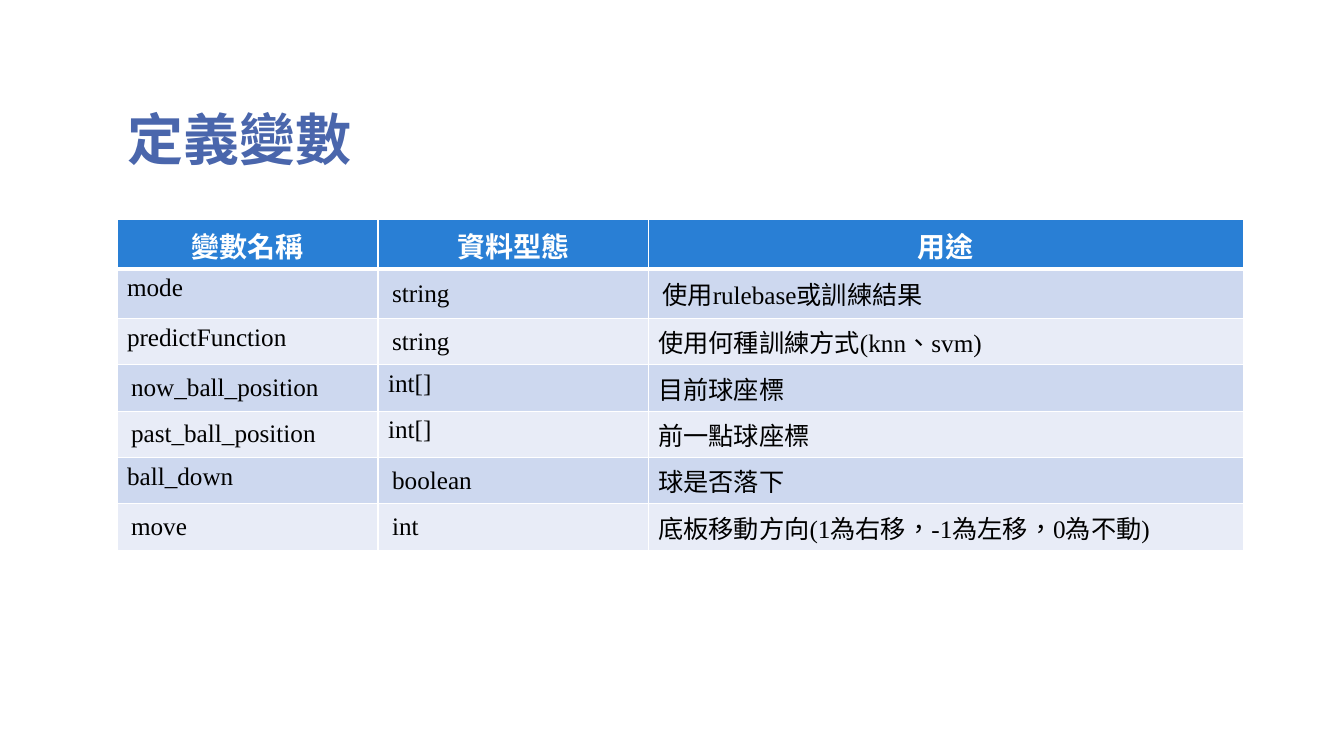
from lxml import etree
from pptx import Presentation
from pptx import util as u
from pptx.dml.color import RGBColor
from pptx.enum import lang, text
from pptx.oxml import ns

FONT = "Times New Roman"
TITLE_BLUE = RGBColor(0x4A, 0x66, 0xAC)
HEADER_BLUE = RGBColor(0x29, 0x7F, 0xD5)
BAND_DARK = RGBColor(0xCD, 0xD8, 0xEF)
BAND_LIGHT = RGBColor(0xE8, 0xEC, 0xF7)
WHITE = RGBColor(0xFF, 0xFF, 0xFF)
BLACK = RGBColor(0x00, 0x00, 0x00)

COLUMN_WIDTHS = [2.59, 2.68, 5.9]
ROW_HEIGHTS = [0.49] * 2 + [0.46] * 5
ROWS = [
    ["變數名稱", "資料型態", "用途"],
    ["mode", "string", "使用rulebase或訓練結果"],
    ["predictFunction", "string", "使用何種訓練方式(knn、svm)"],
    ["now_ball_position", "int[]", "目前球座標"],
    ["past_ball_position", "int[]", "前一點球座標"],
    ["ball_down", "boolean", "球是否落下"],
    ["move", "int", "底板移動方向(1為右移，-1為左移，0為不動)"],
]
MIDDLE_CELLS = {(1, 1), (1, 2), (2, 1), (3, 0), (4, 0), (5, 1), (6, 0), (6, 1)}


def style_text(paragraph, size, color, bold):
    for run in paragraph.runs:
        run.font.name = FONT
        run.font.size = u.Pt(size)
        run.font.bold = bold
        run.font.color.rgb = color
        run.font.language_id = lang.MSO_LANGUAGE_ID.TRADITIONAL_CHINESE


def add_borders(cell, widths):
    properties = cell._tc.get_or_add_tcPr()
    for index, (side, width) in enumerate(widths.items()):
        line = etree.Element(ns.qn(f"a:ln{side}"), w=str(u.Pt(width)))
        fill = etree.SubElement(line, ns.qn("a:solidFill"))
        etree.SubElement(fill, ns.qn("a:srgbClr"), val=str(WHITE))
        properties.insert(index, line)


presentation = Presentation()
presentation.slide_width = u.Inches(13.33)
presentation.slide_height = u.Inches(7.5)
slide = presentation.slides.add_slide(presentation.slide_layouts[6])

title = slide.shapes.add_textbox(u.Inches(1.17), u.Inches(0.58), u.Inches(9.5), u.Inches(1.17))
title.text_frame.word_wrap = True
title.text_frame.vertical_anchor = text.MSO_ANCHOR.BOTTOM
title.text_frame.text = "定義變數"
title_paragraph = title.text_frame.paragraphs[0]
title_paragraph.line_spacing = 0.8
style_text(title_paragraph, 40, TITLE_BLUE, True)

table = slide.shapes.add_table(
    len(ROWS), len(COLUMN_WIDTHS),
    u.Inches(1.16), u.Inches(2.18), u.Inches(sum(COLUMN_WIDTHS)), u.Inches(sum(ROW_HEIGHTS)),
).table
for column, width in zip(table.columns, COLUMN_WIDTHS):
    column.width = u.Inches(width)
for row, height in zip(table.rows, ROW_HEIGHTS):
    row.height = u.Inches(height)

for row_index, values in enumerate(ROWS):
    is_header = row_index == 0
    band = BAND_DARK if row_index % 2 else BAND_LIGHT
    for column_index, value in enumerate(values):
        cell = table.cell(row_index, column_index)
        cell.text_frame.text = value
        paragraph = cell.text_frame.paragraphs[0]
        cell.fill.solid()
        cell.fill.fore_color.rgb = HEADER_BLUE if is_header else band
        if is_header:
            paragraph.alignment = text.PP_ALIGN.CENTER
            style_text(paragraph, 20, WHITE, True)
        else:
            style_text(paragraph, 18, BLACK, False)
        if (row_index, column_index) in MIDDLE_CELLS:
            cell.vertical_anchor = text.MSO_ANCHOR.MIDDLE
            cell.margin_left = cell.margin_right = u.Inches(0.14)
            cell.margin_top = cell.margin_bottom = u.Inches(0.06)
        top = 3 if row_index == 1 else 1
        bottom = 3 if is_header else 1
        add_borders(cell, {"L": 1, "R": 1, "T": top, "B": bottom})

presentation.save("out.pptx")
